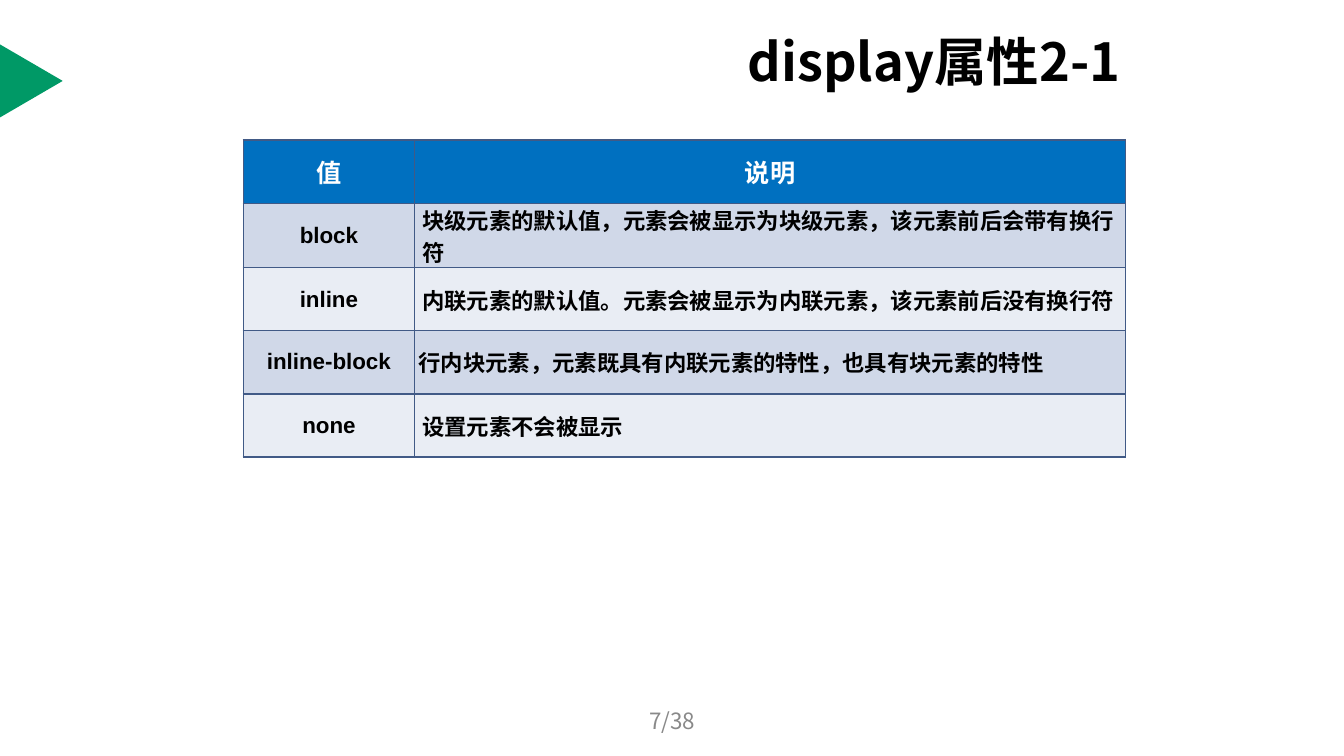
from lxml import etree
from pptx import Presentation
from pptx.dml.color import RGBColor
from pptx.enum import shapes, text
from pptx.oxml import ns
from pptx.util import Cm, Pt

GREEN = RGBColor(0x00, 0x99, 0x66)
BLUE = RGBColor(0x00, 0x70, 0xC0)
BAND_DARK = RGBColor(0xD0, 0xD8, 0xE8)
BAND_LIGHT = RGBColor(0xE9, 0xED, 0xF4)
BORDER = RGBColor(0x41, 0x5A, 0x86)
WHITE = RGBColor(0xFF, 0xFF, 0xFF)
BLACK = RGBColor(0x00, 0x00, 0x00)
GRAY = RGBColor(0x89, 0x89, 0x89)
CJK = "Noto Sans CJK SC"


def style(p, size, color, font, bold, align):
    p.alignment = align
    for r in p.runs:
        r.font.size, r.font.bold, r.font.name = Pt(size), bold, font
        r.font.color.rgb = color
        ea = etree.SubElement(r.font._element, ns.qn("a:ea"))
        ea.set("typeface", CJK)


def add_borders(cell):
    tcPr = cell._tc.get_or_add_tcPr()
    for i, side in enumerate(("lnL", "lnR", "lnT", "lnB")):
        ln = etree.Element(ns.qn("a:" + side), w=str(Pt(1)))
        fill = etree.SubElement(ln, ns.qn("a:solidFill"))
        etree.SubElement(fill, ns.qn("a:srgbClr"), val=str(BORDER))
        tcPr.insert(i, ln)


prs = Presentation()
prs.slide_width, prs.slide_height = Cm(33.87), Cm(19.05)
s = prs.slides.add_slide(prs.slide_layouts[5])

# Green marker at the left edge
sp = s.shapes.add_shape(shapes.MSO_SHAPE.ISOSCELES_TRIANGLE,
                        Cm(-0.13), Cm(1.25), Cm(1.84), Cm(1.58))
sp.rotation = 90
sp.shadow.inherit = False
sp.fill.solid()
sp.fill.fore_color.rgb = GREEN
sp.line.fill.background()

# Title
title = s.shapes.title
title.left, title.top, title.width, title.height = Cm(18.29), Cm(0.2), Cm(10.85), Cm(2.64)
tf = title.text_frame
tf.text = "display属性2-1"
tf.word_wrap = True
tf.auto_size = text.MSO_AUTO_SIZE.NONE
tf.vertical_anchor = text.MSO_ANCHOR.MIDDLE
tf.margin_left, tf.margin_right = Cm(0.55), Cm(0)
style(tf.paragraphs[0], 37.4, BLACK, CJK, True, text.PP_ALIGN.LEFT)

# Table of display values
rows = [
    ("值", "说明"),
    ("block", "块级元素的默认值，元素会被显示为块级元素，该元素前后会带有换行符"),
    ("inline", "内联元素的默认值。元素会被显示为内联元素，该元素前后没有换行符"),
    ("inline-block", "行内块元素，元素既具有内联元素的特性，也具有块元素的特性"),
    ("none", "设置元素不会被显示"),
]
table = s.shapes.add_table(len(rows), 2, Cm(6.13), Cm(3.53), Cm(22.23), Cm(7.75)).table
table.columns[0].width, table.columns[1].width = Cm(4.32), Cm(17.91)
for i, row in enumerate(rows):
    header = i == 0
    table.rows[i].height = Cm(1.4) if i == 1 else Cm(1.59)
    tight = row[0] == "inline-block"
    for j, words in enumerate(row):
        cell = table.cell(i, j)
        cell.text = words
        cell.vertical_anchor = text.MSO_ANCHOR.MIDDLE
        cell.margin_left = cell.margin_right = Cm(0.1) if tight else Cm(0.19)
        cell.margin_top = Cm(0)
        cell.margin_bottom = Cm(0.05) if tight else Cm(0)
        cell.fill.solid()
        cell.fill.fore_color.rgb = BLUE if header else (BAND_LIGHT, BAND_DARK)[i % 2]
        add_borders(cell)
        centred = header or j == 0
        style(cell.text_frame.paragraphs[0], 18 if header else 16,
              WHITE if header else BLACK, "Arial", True,
              text.PP_ALIGN.CENTER if centred else text.PP_ALIGN.LEFT)

# Page number
tf = s.shapes.add_textbox(Cm(11.58), Cm(17.65), Cm(10.72), Cm(1.02)).text_frame
tf.text = "7/38"
tf.word_wrap = True
tf.vertical_anchor = text.MSO_ANCHOR.MIDDLE
style(tf.paragraphs[0], 16, GRAY, CJK, False, text.PP_ALIGN.CENTER)

prs.save("out.pptx")
